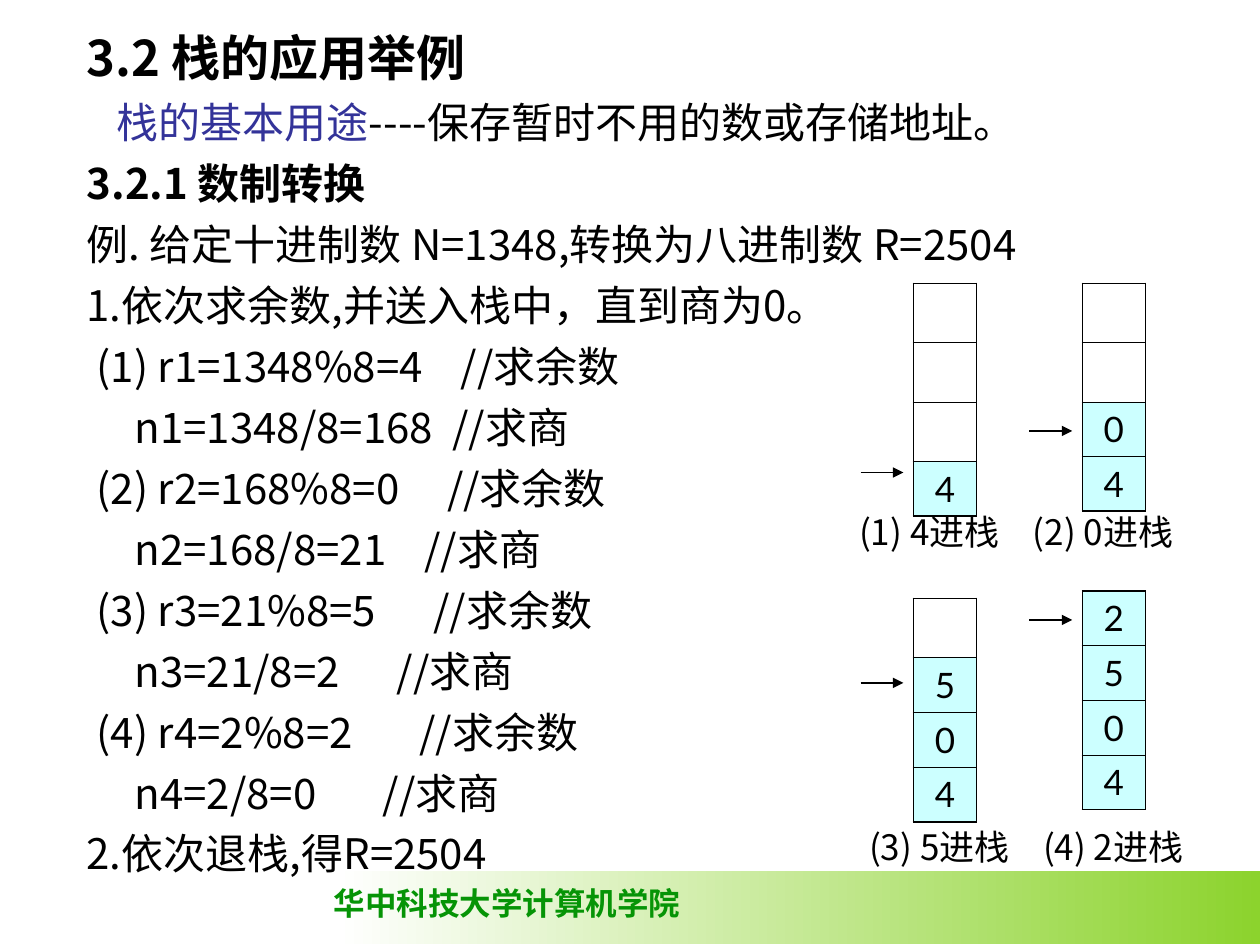
from dataclasses import dataclass

from pptx import Presentation
from pptx.dml.color import RGBColor
from pptx.enum.shapes import MSO_CONNECTOR as Connector, MSO_SHAPE as Preset
from pptx.enum.text import MSO_ANCHOR as Anchor, PP_ALIGN as Align
from pptx.oxml.ns import qn
from pptx.oxml.xmlchemy import OxmlElement
from pptx.util import Inches, Pt


@dataclass(frozen=True)
class Theme:
    black: str = "000000"
    white: str = "FFFFFF"
    term: str = "333399"
    stack_fill: str = "CCFFFF"
    band_green: str = "8CD32D"
    footer_green: str = "069406"
    body_font: str = "Noto Sans CJK SC"
    cell_font: str = "Lato"
    footer_font: str = "Times New Roman"
    title_size: int = 28
    body_size: int = 24
    small_size: int = 20
    footer_size: int = 18
    line_gap: int = 6
    outer_line: float = 1.08
    inner_line: float = 0.45
    arrow_line: float = 0.75


THEME = Theme()
INDENT = 0.08       # numbered steps
DEEP_INDENT = 0.38  # quotient lines below them
ROW_FILLED, ROW_EMPTY = 0.43, 0.47

# Expression, its indent, comment, and where the comment starts
STEPS = [
    ("(1) r1=1348%8=4", INDENT, "//求余数", 2.97),
    ("n1=1348/8=168", DEEP_INDENT, "//求商", 2.9),
    ("(2) r2=168%8=0", INDENT, "//求余数", 2.86),
    ("n2=168/8=21", DEEP_INDENT, "//求商", 2.68),
    ("(3) r3=21%8=5", INDENT, "//求余数", 2.75),
    ("n3=21/8=2", DEEP_INDENT, "//求商", 2.46),
    ("(4) r4=2%8=2", INDENT, "//求余数", 2.64),
    ("n4=2/8=0", DEEP_INDENT, "//求商", 2.35),
]

# Left, top, cell values from top to bottom, height of the pointer arrow
STACKS = [
    (7.25, 2.25, ["", "", "", "4"], 3.75),
    (8.59, 2.25, ["", "", "0", "4"], 3.42),
    (7.25, 4.75, ["", "5", "0", "4"], 5.42),
    (8.59, 4.69, ["2", "5", "0", "4"], 4.92),
]


def add_text(paragraph, text, *, size=THEME.body_size, color=THEME.black,
             font=THEME.body_font, bold=False):
    run = paragraph.add_run()
    run.text = text
    run.font.size = Pt(size)
    run.font.bold = bold
    run.font.name = font
    run.font.color.rgb = RGBColor.from_string(color)
    east_asian = OxmlElement("a:ea")
    east_asian.set("typeface", THEME.body_font)
    run.font._element.find(qn("a:latin")).addnext(east_asian)


def set_tabs(paragraph, *positions):
    tab_list = OxmlElement("a:tabLst")
    for position in positions:
        tab = OxmlElement("a:tab")
        tab.set("pos", str(Inches(position)))
        tab.set("algn", "l")
        tab_list.append(tab)
    paragraph._p.get_or_add_pPr().append(tab_list)


def add_box(slide, left, top, width, height, wrap=True):
    shape = slide.shapes.add_textbox(*map(Inches, (left, top, width, height)))
    shape.text_frame.word_wrap = wrap
    return shape.text_frame


def add_line(frame, *tabs):
    paragraph = frame.add_paragraph()
    paragraph.space_before = Pt(THEME.line_gap)
    if tabs:
        set_tabs(paragraph, *tabs)
    return paragraph


def add_footer(slide):
    band = slide.shapes.add_shape(
        Preset.RECTANGLE, *map(Inches, (2.67, 6.91, 7.33, 0.58)))
    band.shadow.inherit = False
    band.line.fill.background()
    band.fill.gradient()
    band.fill.gradient_angle = 0
    for stop, color in zip(band.fill.gradient_stops,
                           (THEME.white, THEME.band_green)):
        stop.color.rgb = RGBColor.from_string(color)
    frame = add_box(slide, 2.55, 6.97, 2.95, 0.4, wrap=False)
    add_text(frame.paragraphs[0], "华中科技大学计算机学院", bold=True,
             size=THEME.footer_size, color=THEME.footer_green,
             font=THEME.footer_font)


def add_body(slide):
    frame = add_box(slide, 0.59, 0.17, 8.93, 7.33)
    add_text(frame.paragraphs[0], "3.2 栈的应用举例",
             size=THEME.title_size, bold=True)

    purpose = add_line(frame, 0.24)
    add_text(purpose, "\t栈的基本用途", color=THEME.term)
    add_text(purpose, "----保存暂时不用的数或存储地址。")

    add_text(add_line(frame), "3.2.1 数制转换", bold=True)
    add_text(add_line(frame),
             "例. 给定十进制数 N=1348,转换为八进制数 R=2504")
    add_text(add_line(frame), "1.依次求余数,并送入栈中，直到商为0。")
    for expression, indent, comment, comment_start in STEPS:
        add_text(add_line(frame, indent, comment_start),
                 f"\t{expression}\t{comment}")
    add_text(add_line(frame), "2.依次退栈,得R=2504")


def set_border(cell, side, width):
    line = OxmlElement(f"a:ln{side}")
    line.set("w", str(Pt(width)))
    fill = OxmlElement("a:solidFill")
    color = OxmlElement("a:srgbClr")
    color.set("val", THEME.black)
    fill.append(color)
    line.append(fill)
    cell._tc.get_or_add_tcPr().append(line)


def add_stack(slide, left, top, values):
    heights = [ROW_FILLED if value else ROW_EMPTY for value in values]
    table = slide.shapes.add_table(
        len(values), 1, *map(Inches, (left, top, 0.5, sum(heights)))).table
    table.first_row = table.horz_banding = False
    last = len(values) - 1
    for index, (value, height) in enumerate(zip(values, heights)):
        table.rows[index].height = Inches(height)
        cell = table.cell(index, 0)
        cell.vertical_anchor = Anchor.MIDDLE
        # Borders come before the fill in the cell properties
        top_line = THEME.inner_line if index else THEME.outer_line
        bottom_line = THEME.inner_line if index < last else THEME.outer_line
        for side, width in (("L", THEME.outer_line), ("R", THEME.outer_line),
                            ("T", top_line), ("B", bottom_line)):
            set_border(cell, side, width)
        if not value:
            cell.fill.background()
            continue
        cell.fill.solid()
        cell.fill.fore_color.rgb = RGBColor.from_string(THEME.stack_fill)
        paragraph = cell.text_frame.paragraphs[0]
        paragraph.alignment = Align.CENTER
        add_text(paragraph, value, size=THEME.small_size, font=THEME.cell_font)


def add_captions(slide, left, top, first, second):
    paragraph = add_box(slide, left, top, 2.84, 0.44).paragraphs[0]
    set_tabs(paragraph, 1.38)
    add_text(paragraph, f"{first}\t{second}", size=THEME.small_size)


def add_arrow(slide, left, y):
    arrow = slide.shapes.add_connector(
        Connector.STRAIGHT, *map(Inches, (left, y, left + 0.34, y)))
    arrow.line.width = Pt(THEME.arrow_line)
    arrow.line.color.rgb = RGBColor.from_string(THEME.black)
    head = OxmlElement("a:tailEnd")
    head.set("type", "triangle")
    arrow.line._get_or_add_ln().append(head)
    arrow._element.spPr.append(OxmlElement("a:effectLst"))


def main():
    presentation = Presentation()
    presentation.slide_width = Inches(10)
    presentation.slide_height = Inches(7.5)
    slide = presentation.slides.add_slide(presentation.slide_layouts[6])

    add_footer(slide)
    add_body(slide)

    # Stack states with their captions and pointers
    for left, top, values, _ in STACKS:
        add_stack(slide, left, top, values)
    add_captions(slide, 6.72, 4, "(1) 4进栈", "(2) 0进栈")
    add_captions(slide, 6.8, 6.5, "(3) 5进栈", "(4) 2进栈")
    for left, _, _, arrow_y in STACKS:
        add_arrow(slide, left - 0.42, arrow_y)

    presentation.save("out.pptx")


if __name__ == "__main__":
    main()
